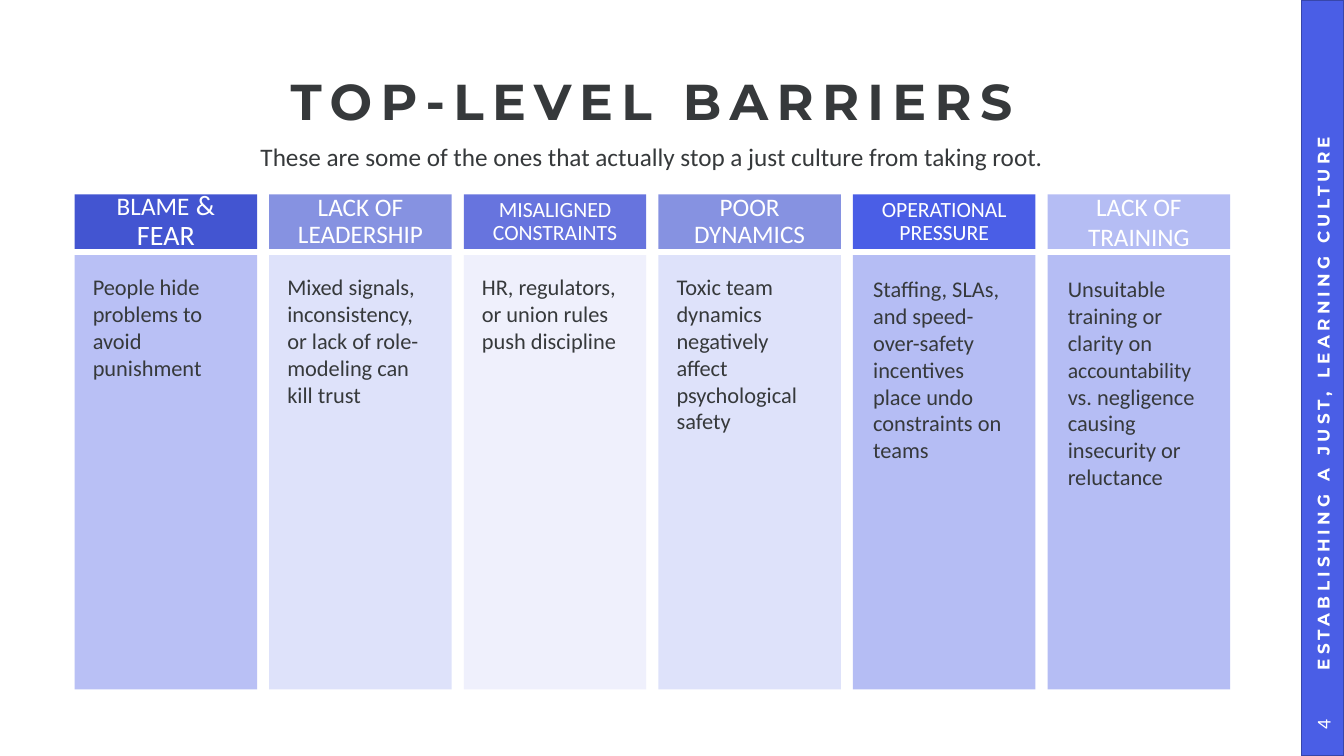
from pptx import Presentation
from pptx.dml.color import RGBColor
from pptx.enum.shapes import MSO_SHAPE as Shape
from pptx.enum.text import MSO_ANCHOR as Anchor, MSO_AUTO_SIZE as AutoSize, PP_ALIGN as Align
from pptx.oxml.ns import qn
from pptx.util import Inches, Pt
from lxml.etree import SubElement

THEME = {
    "ink": "36393B", "white": "FFFFFF", "accent": "4A5EE6", "edge": "3746AA",
    "royal": "4355D1", "navy": "1C32C8", "violet": "6774DE",
    "lilac": "929EF0", "mist": "B7BFF5", "pale": "DBDFFA",
    "body_font": "Calibri", "title_font": "Montserrat",
    "title": 36, "large": 20, "lead": 18, "body": 16, "small": 15.5, "number": 14, "side": 12,
}


def add_panel(left, top, width, height, color, alpha=100):
    panel = page.shapes.add_shape(
        Shape.RECTANGLE, Inches(left), Inches(top), Inches(width), Inches(height))
    panel.shadow.inherit = False
    panel.fill.solid()
    panel.fill.fore_color.rgb = RGBColor.from_string(THEME[color])
    panel.line.fill.background()
    if alpha < 100:
        tint = panel.fill._xPr.find(qn("a:solidFill"))[0]
        SubElement(tint, qn("a:alpha"), val=str(alpha * 1000))
    return panel


def write(box, runs, color, align=Align.LEFT, anchor=Anchor.MIDDLE, insets=(0.1, 0.05, 0.1, 0.05),
          line_spacing=1.0, font="body_font", bold=False, tracking=0):
    frame = box.text_frame
    settings = {"word_wrap": True, "auto_size": AutoSize.NONE, "vertical_anchor": anchor}
    for side, inset in zip(("left", "top", "right", "bottom"), insets):
        settings[f"margin_{side}"] = Inches(inset)
    for name, value in settings.items():
        setattr(frame, name, value)
    para = frame.paragraphs[0]
    para.alignment = align
    para.line_spacing = line_spacing
    for text, size in runs:
        span = para.add_run()
        span.text = text
        for name, value in {"name": THEME[font], "size": Pt(THEME[size]), "bold": bold}.items():
            setattr(span.font, name, value)
        span.font.color.rgb = RGBColor.from_string(THEME[color])
        if tracking:
            span.font._element.set("spc", str(tracking * 100))


deck = Presentation()
deck.slide_width = Inches(13.33)
deck.slide_height = Inches(7.5)
page = deck.slides.add_slide(deck.slide_layouts[5])

sidebar = add_panel(12.91, 0, 0.42, 7.5, "accent")
sidebar.line.color.rgb = RGBColor.from_string(THEME["edge"])
sidebar.line.width = Pt(1)

barriers = [
    ([("BLAME", "lead"), (" & FEAR", "large")], ("royal", 100), 0.14, 0.9,
     [("People hide problems to avoid punishment", "body")], ("lilac", 64), 0.18),
    ([("LACK OF LEADERSHIP", "lead")], ("navy", 53), 0.14, 0.9,
     [("Mixed signals, inconsistency, or lack of role-modeling can kill trust", "body")],
     ("mist", 45), 0.18),
    ([("MISALIGNED CONSTRAINTS", "small")], ("violet", 100), 0.14, 0.9,
     [("HR, regulators, or union rules push discipline", "body")], ("pale", 44), 0.18),
    ([("POOR DYNAMICS", "lead")], ("navy", 53), 0.14, 0.9,
     [("Toxic team dynamics negatively affect psychological safety", "body")], ("mist", 45), 0.18),
    ([("OPERATIONAL PRESSURE", "small")], ("accent", 100), 0.14, 0.9,
     [("Staffing, SLAs, and speed-over-safety incentives place undo constraints on teams", "body")],
     ("lilac", 68), 0.2),
    ([("LACK OF TRAINING", "lead")], ("lilac", 68), 0.2, 1.0,
     [("Unsuitable training or clarity on ", "body"), ("accountability", "small"),
      (" vs. negligence causing insecurity or reluctance", "body")], ("lilac", 68), 0.2),
]
for column, barrier in enumerate(barriers):
    heading, heading_fill, heading_inset, spacing, detail, detail_fill, detail_inset = barrier
    left = 0.74 + 1.93 * column
    header = add_panel(left, 1.93, 1.81, 0.54, *heading_fill)
    write(header, heading, "white", Align.CENTER, insets=[heading_inset] * 4, line_spacing=spacing)
    card = add_panel(left, 2.53, 1.81, 4.31, *detail_fill)
    write(card, detail, "ink", anchor=Anchor.TOP, insets=[detail_inset] * 4)

title = page.shapes.title
for name, value in {"left": 0.93, "top": 0.68, "width": 11.07, "height": 0.71}.items():
    setattr(title, name, Inches(value))
write(title, [("TOP-LEVEL BARRIERS", "title")], "ink", Align.CENTER, insets=[0] * 4,
      line_spacing=0.9, font="title_font", bold=True, tracking=6)

subtitle = page.shapes.add_textbox(Inches(0.93), Inches(1.35), Inches(11.07), Inches(0.4))
write(subtitle, [("These are some of the ones that actually stop a just culture from taking root.", "lead")],
      "ink", Align.CENTER, Anchor.TOP)

side_label = page.shapes.add_textbox(Inches(9.68), Inches(3.23), Inches(6.88), Inches(0.42))
side_label.rotation = 270
write(side_label, [("ESTABLISHING A JUST, LEARNING CULTURE", "side")], "white",
      insets=(0.23, 0.05, 0.1, 0.05), font="title_font", bold=True, tracking=3)

page_number = page.shapes.add_textbox(Inches(12.81), Inches(6.98), Inches(0.62), Inches(0.42))
page_number.rotation = 270
write(page_number, [("4", "number")], "white", Align.CENTER)

deck.save("out.pptx")
